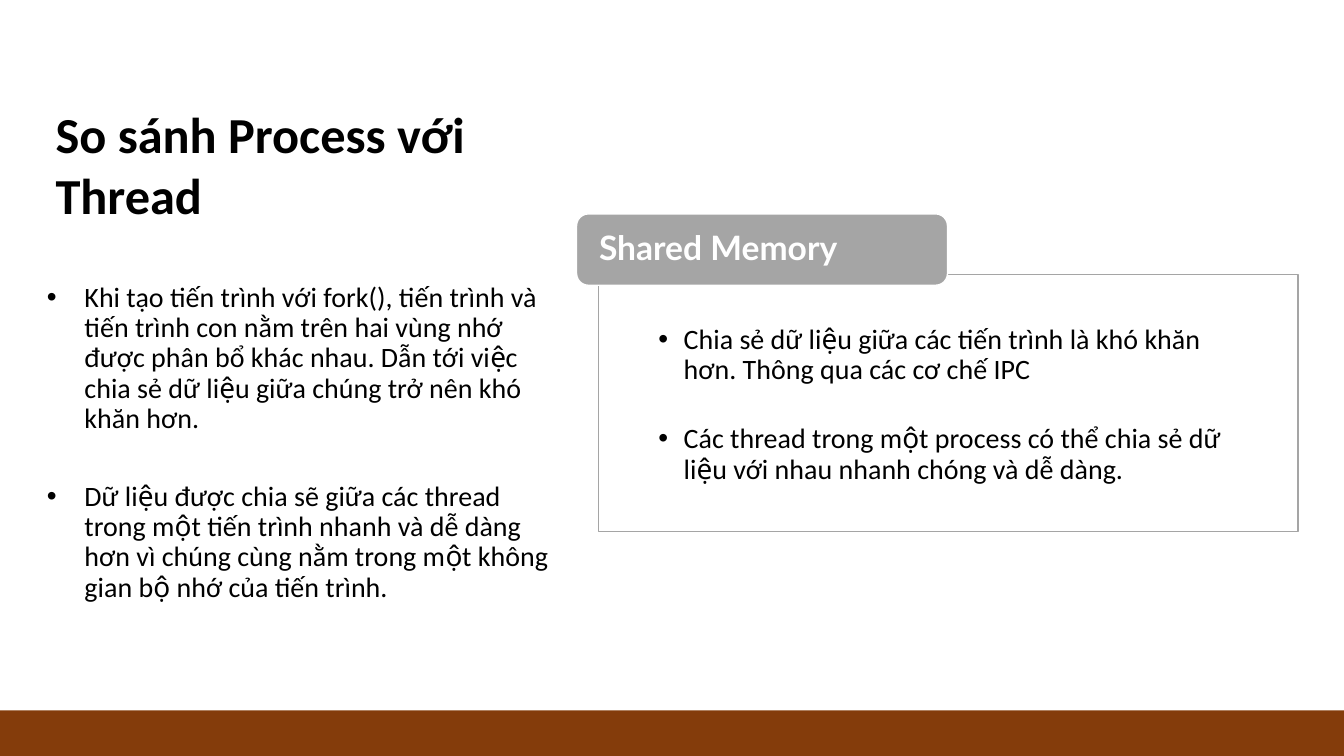
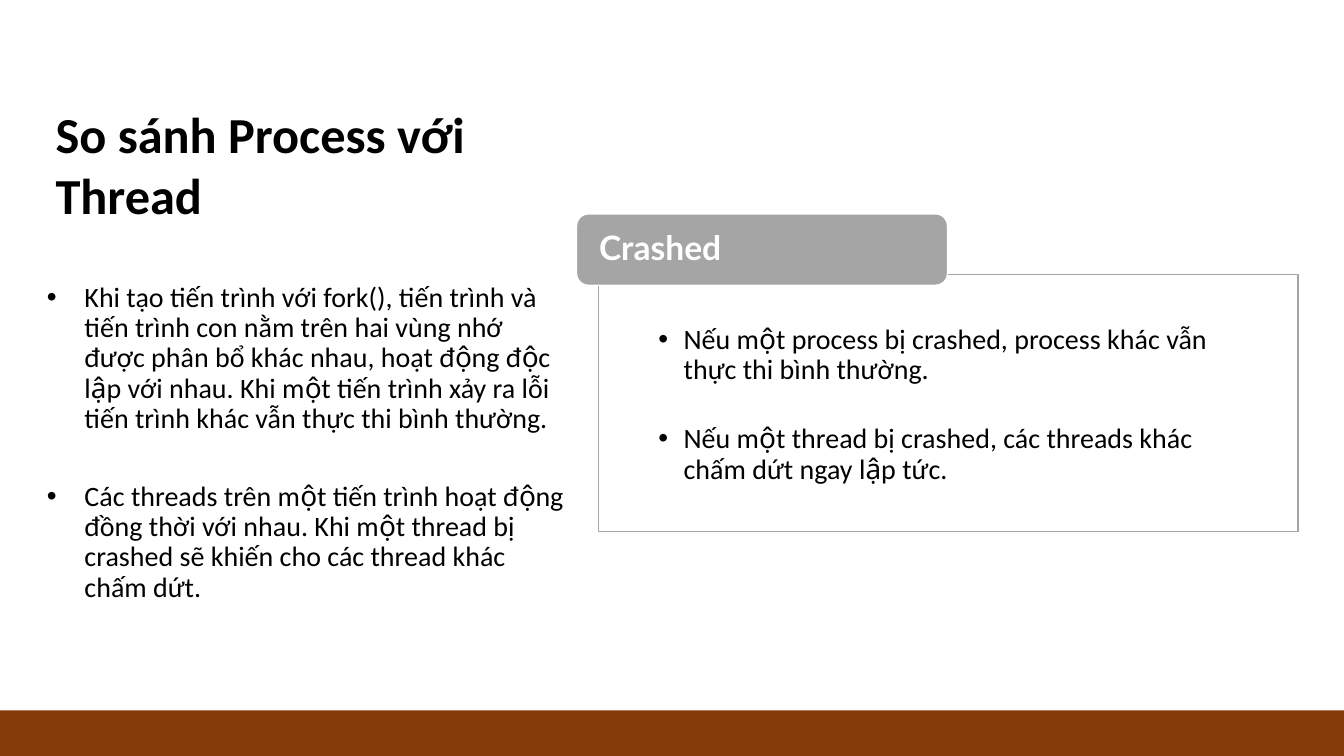
from pptx import Presentation
from pptx import util as u
from pptx.dml.color import RGBColor
from pptx.enum import shapes, text
from lxml import etree

Cm = u.Cm
COLORS = {"text": "000000", "paper": "FFFFFF", "grey": "A5A5A5", "brown": "843C0B"}
NS = "http://schemas.openxmlformats.org/drawingml/2006/main"
VOWELS = "aăâeêioôơuưy"
TONES = {
    "\u0300": "àằầèềìòồờùừỳ",
    "\u0301": "áắấéếíóốớúứý",
    "\u0303": "ãẵẫẽễĩõỗỡũữỹ",
    "\u0309": "ảẳẩẻểỉỏổởủửỷ",
    "\u0323": "ạặậẹệịọộợụựỵ",
}
TONE_MARKS = {ord(letter): vowel + mark for mark, letters in TONES.items()
              for vowel, letter in zip(VOWELS, letters)}
TITLE = "So sánh Process với Thread"
COMPARISONS = [
    {
        "topic": "Shared Memory",
        "details": [
            "Khi tạo tiến trình với fork(), tiến trình và tiến trình con nằm trên hai vùng nhớ được phân bổ khác nhau. Dẫn tới việc chia sẻ dữ liệu giữa chúng trở nên khó khăn hơn.",
            "Dữ liệu được chia sẽ giữa các thread trong một tiến trình nhanh và dễ dàng hơn vì chúng cùng nằm trong một không gian bộ nhớ của tiến trình.",
        ],
        "summary": [
            "Chia sẻ dữ liệu giữa các tiến trình là khó khăn hơn. Thông qua các cơ chế IPC",
            "Các thread trong một process có thể chia sẻ dữ liệu với nhau nhanh chóng và dễ dàng.",
        ],
    },
    {
        "topic": "Crashed",
        "details": [
            "Khi tạo tiến trình với fork(), tiến trình và tiến trình con nằm trên hai vùng nhớ được phân bổ khác nhau, hoạt động độc lập với nhau. Khi một tiến trình xảy ra lỗi tiến trình khác vẫn thực thi bình thường.",
            "Các threads trên một tiến trình hoạt động đồng thời với nhau. Khi một thread bị crashed sẽ khiến cho các thread khác chấm dứt.",
        ],
        "summary": [
            "Nếu một process bị crashed, process khác vẫn thực thi bình thường.",
            "Nếu một thread bị crashed, các threads khác chấm dứt ngay lập tức.",
        ],
    },
]


def write(shape, paragraphs, size=20, font="Calibri", color="text", bold=False, anchor="TOP",
          insets=(0.25, 0.13, 0.25, 0.13), spacing=0.9, gap=0, indent=0, hang=0):
    frame = shape.text_frame
    frame.word_wrap = True
    frame.vertical_anchor = text.MSO_ANCHOR[anchor]
    frame.margin_left, frame.margin_top, frame.margin_right, frame.margin_bottom = map(Cm, insets)
    for i, words in enumerate(paragraphs):
        paragraph = frame.paragraphs[0] if i == 0 else frame.add_paragraph()
        paragraph.alignment = text.PP_ALIGN.LEFT
        paragraph.line_spacing = spacing
        paragraph.space_before = u.Pt(gap if i else 0)
        run = paragraph.add_run()
        run.text = words.translate(TONE_MARKS)
        run.font.size, run.font.name, run.font.bold = u.Pt(size), font, bold
        run.font.color.rgb = RGBColor.from_string(COLORS[color])
        if hang:
            props = paragraph._p.get_or_add_pPr()
            props.set("marL", str(Cm(indent)))
            props.set("indent", str(-Cm(hang)))
            etree.SubElement(props, f"{{{NS}}}buFont").set("typeface", "Arial")
            etree.SubElement(props, f"{{{NS}}}buChar").set("char", "•")


def add_panel(slide, kind, box, fill, line=None):
    panel = slide.shapes.add_shape(shapes.MSO_SHAPE[kind], *map(Cm, box))
    panel.shadow.inherit = False
    panel.fill.solid()
    panel.fill.fore_color.rgb = RGBColor.from_string(COLORS[fill])
    if line:
        panel.line.color.rgb = RGBColor.from_string(COLORS[line])
        panel.line.width = u.Pt(1)
    else:
        panel.line.fill.background()
    return panel


deck = Presentation()
deck.slide_width, deck.slide_height = Cm(33.87), Cm(19.05)

for comparison in COMPARISONS:
    slide = deck.slides.add_slide(deck.slide_layouts[6])

    title = slide.shapes.add_textbox(Cm(1.15), Cm(2.76), Cm(12.34), Cm(3.02))
    write(title, [TITLE], size=36, bold=True, anchor="BOTTOM", spacing=1.0)

    add_panel(slide, "RECTANGLE", (0, 17.9, 33.87, 1.15), "brown")

    details = slide.shapes.add_textbox(Cm(0), Cm(7.01), Cm(14.58), Cm(9.7))
    write(details, comparison["details"], gap=34, indent=1.88, hang=0.95)

    summary = add_panel(slide, "RECTANGLE", (15.09, 6.92, 17.62, 6.47), "paper", "grey")
    write(summary, comparison["summary"], insets=(1.5, 1.27, 1.5, 0.43), gap=28, indent=0.64, hang=0.64)

    topic = add_panel(slide, "ROUNDED_RECTANGLE", (14.53, 5.39, 9.35, 1.8), "grey", "paper")
    write(topic, [comparison["topic"]], size=24, font="Lato", color="paper", bold=True,
          anchor="MIDDLE", insets=(0.48, 0, 0.48, 0))

deck.save("out.pptx")
